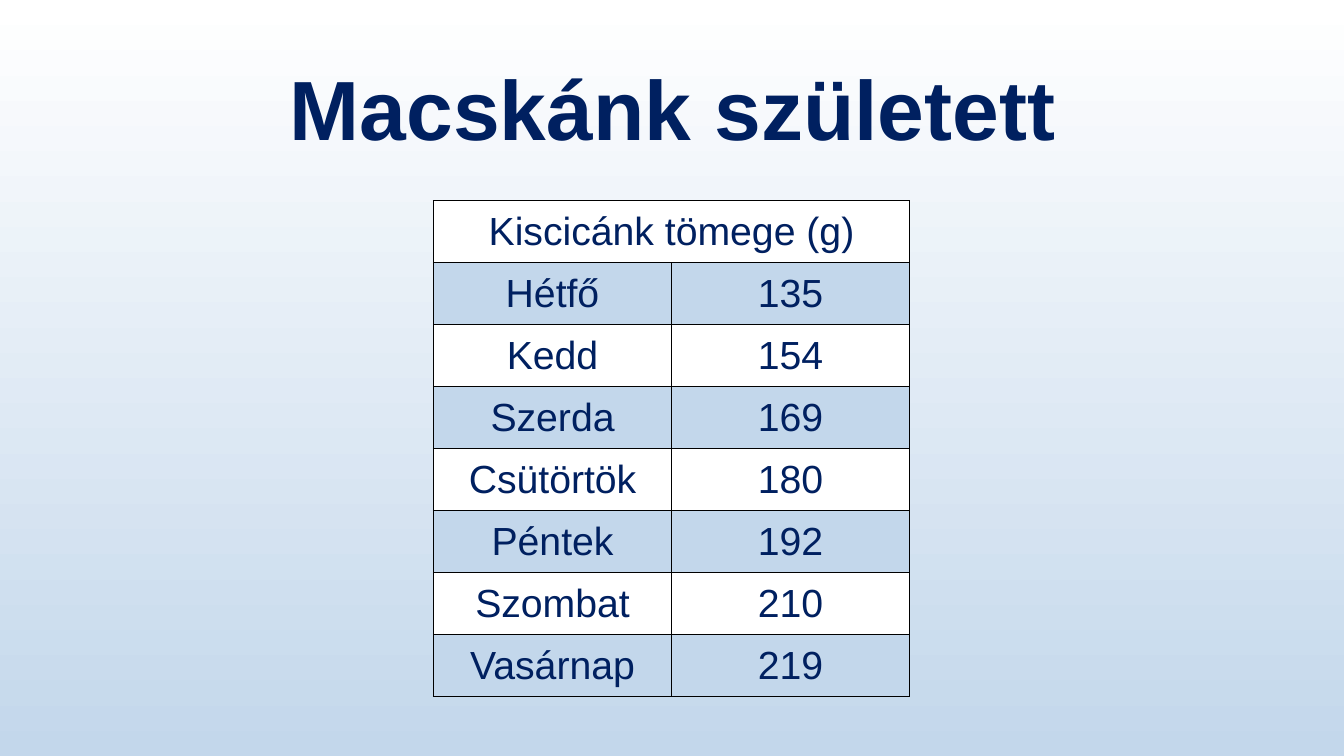
from typing import NamedTuple

from pptx import Presentation
from pptx import util as u
from pptx.dml.color import RGBColor
from pptx.enum import text
from pptx.oxml import parse_xml
from pptx.oxml.ns import nsdecls

NAVY = RGBColor(0x00, 0x20, 0x60)
WHITE = RGBColor(0xFF, 0xFF, 0xFF)
PALE_BLUE = RGBColor(0xC3, 0xD7, 0xEB)
BLACK = RGBColor(0x00, 0x00, 0x00)
FONT = "Arial"


class Weighing(NamedTuple):
    day: str
    grams: int


WEIGHINGS = [
    Weighing("Hétfő", 135),
    Weighing("Kedd", 154),
    Weighing("Szerda", 169),
    Weighing("Csütörtök", 180),
    Weighing("Péntek", 192),
    Weighing("Szombat", 210),
    Weighing("Vasárnap", 219),
]


def write_centred(frame, wording: str, size: int, bold: bool = False) -> None:
    frame.text = wording
    para = frame.paragraphs[0]
    para.alignment = text.PP_ALIGN.CENTER
    for span in para.runs:
        span.font.name = FONT
        span.font.size = u.Pt(size)
        span.font.bold = bold
        span.font.color.rgb = NAVY


def add_borders(cell) -> None:
    properties = cell._tc.get_or_add_tcPr()
    for index, side in enumerate(("lnL", "lnR", "lnT", "lnB")):
        border = parse_xml(
            f'<a:{side} {nsdecls("a")} w="{u.Pt(1)}"><a:solidFill>'
            f'<a:srgbClr val="{BLACK}"/></a:solidFill></a:{side}>'
        )
        properties.insert(index, border)


def paint_background(page) -> None:
    fill = page.background.fill
    fill.gradient()
    fill.gradient_angle = 270
    for stop, (position, colour) in zip(fill.gradient_stops, ((0, WHITE), (1, PALE_BLUE))):
        stop.position = position
        stop.color.rgb = colour


def add_title(page, wording: str) -> None:
    box = page.shapes.add_textbox(u.Inches(0.92), u.Inches(0.4), u.Inches(11.5), u.Inches(1.45))
    frame = box.text_frame
    frame.word_wrap = True
    frame.vertical_anchor = text.MSO_ANCHOR.MIDDLE
    write_centred(frame, wording, 60, bold=True)
    frame.paragraphs[0].line_spacing = 0.9


def add_weight_table(page, heading: str, weighings: list[Weighing]) -> None:
    rows = [(heading, "")] + [(item.day, str(item.grams)) for item in weighings]
    table = page.shapes.add_table(
        len(rows), 2, u.Inches(4.3), u.Inches(1.99), u.Inches(4.72), u.Inches(4.92)
    ).table
    for row_index, row in enumerate(rows):
        for column_index, wording in enumerate(row):
            cell = table.cell(row_index, column_index)
            cell.vertical_anchor = text.MSO_ANCHOR.MIDDLE
            cell.fill.solid()
            cell.fill.fore_color.rgb = PALE_BLUE if row_index % 2 else WHITE
            write_centred(cell.text_frame, wording, 28)
            add_borders(cell)
    table.cell(0, 0).merge(table.cell(0, 1))


def main() -> None:
    deck = Presentation()
    deck.slide_width = u.Inches(13.33)
    deck.slide_height = u.Inches(7.5)
    page = deck.slides.add_slide(deck.slide_layouts[6])
    paint_background(page)
    add_title(page, "Macskánk született")
    add_weight_table(page, "Kiscicánk tömege (g)", WEIGHINGS)
    deck.save("out.pptx")


if __name__ == "__main__":
    main()
